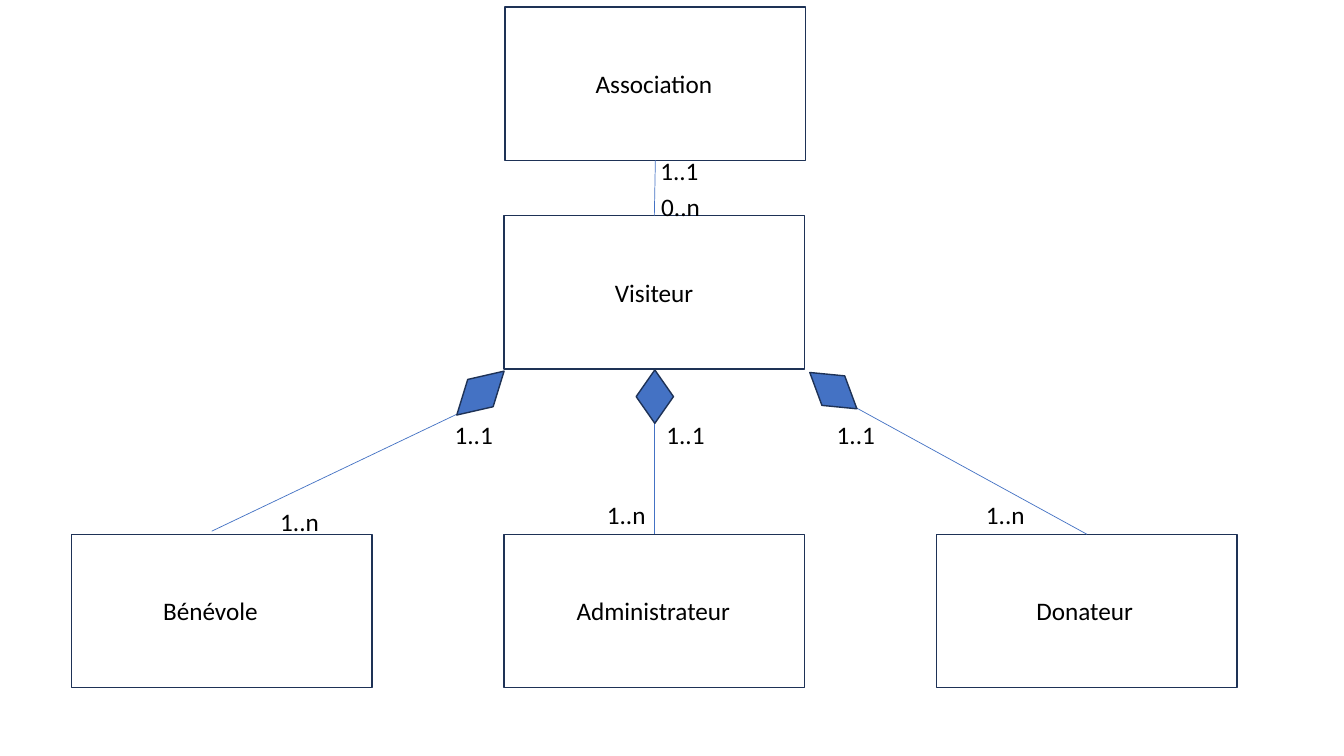
from dataclasses import dataclass

import pptx
import pptx.dml.color
import pptx.enum.shapes
import pptx.enum.text
import pptx.oxml
import pptx.oxml.ns
import pptx.shapes.autoshape
import pptx.shapes.connector
import pptx.slide
import pptx.util

EMU_PER_PX = 9144
BLACK = pptx.dml.color.RGBColor(0x00, 0x00, 0x00)
BLUE = pptx.dml.color.RGBColor(0x44, 0x72, 0xC4)
NAVY = pptx.dml.color.RGBColor(0x1E, 0x32, 0x56)
FONT = "Calibri"
BOX_WIDTH, BOX_HEIGHT = 298, 152
LABEL_HEIGHT = 40
CARDINALITY_WIDTH = 59
DIAMOND_WIDTH = 37
TOP, BOTTOM = 0, 2


@dataclass(frozen=True)
class Entity:
    name: str
    left: int
    top: int
    label_left: int
    label_width: int


@dataclass(frozen=True)
class Cardinality:
    text: str
    left: int
    top: int


@dataclass(frozen=True)
class Diamond:
    left: int
    top: int
    height: int
    rotation: float


@dataclass(frozen=True)
class Link:
    """A line; a named entity joins that end to the middle of its side."""

    start: tuple[int, int]
    end: tuple[int, int]
    source: str = ""
    source_side: int = TOP
    target: str = ""


ENTITIES = [
    Entity("Association", 501, 7, 581, 136),
    Entity("Visiteur", 500, 214, 600, 99),
    Entity("Bénévole", 71, 530, 152, 116),
    Entity("Administrateur", 500, 530, 562, 174),
    Entity("Donateur", 929, 530, 1018, 119),
]
LINKS = [
    Link((210, 527), (453, 411)),
    Link((649, 530), (649, 420), "Administrateur"),
    Link((1078, 530), (850, 405), "Donateur"),
    Link((650, 159), (649, 214), "Association", BOTTOM, "Visiteur"),
]
DIAMONDS = [
    Diamond(631, 367, 53, 0),
    Diamond(808, 358, 59, 307.6),
    Diamond(458, 358, 64, 47.1),
]
CARDINALITIES = [
    Cardinality("1..1", 820, 411),
    Cardinality("1..1", 441, 411),
    Cardinality("1..1", 651, 411),
    Cardinality("1..n", 268, 497),
    Cardinality("1..n", 968, 490),
    Cardinality("1..n", 592, 490),
    Cardinality("1..1", 645, 149),
    Cardinality("0..n", 646, 185),
]


def px(length: int) -> pptx.util.Emu:
    return pptx.util.Emu(length * EMU_PER_PX)


def add_outlined_shape(
    page: pptx.slide.Slide,
    kind: pptx.enum.shapes.MSO_SHAPE,
    left: int,
    top: int,
    width: int,
    height: int,
) -> pptx.shapes.autoshape.Shape:
    shape = page.shapes.add_shape(kind, px(left), px(top), px(width), px(height))
    shape.shadow.inherit = False
    shape.line.color.rgb = NAVY
    shape.line.width = pptx.util.Pt(1)
    return shape


def add_entity_box(page: pptx.slide.Slide, entity: Entity) -> pptx.shapes.autoshape.Shape:
    box = add_outlined_shape(
        page, pptx.enum.shapes.MSO_SHAPE.RECTANGLE,
        entity.left, entity.top, BOX_WIDTH, BOX_HEIGHT,
    )
    box.fill.background()
    return box


def add_diamond(page: pptx.slide.Slide, diamond: Diamond) -> None:
    shape = add_outlined_shape(
        page, pptx.enum.shapes.MSO_SHAPE.FLOWCHART_DECISION,
        diamond.left, diamond.top, DIAMOND_WIDTH, diamond.height,
    )
    shape.rotation = diamond.rotation
    shape.fill.solid()
    shape.fill.fore_color.rgb = BLUE


def add_label(page: pptx.slide.Slide, text: str, left: int, top: int, width: int) -> None:
    label = page.shapes.add_textbox(px(left), px(top), px(width), px(LABEL_HEIGHT))
    frame = label.text_frame
    frame.word_wrap = True
    frame.auto_size = pptx.enum.text.MSO_AUTO_SIZE.SHAPE_TO_FIT_TEXT
    span = frame.paragraphs[0].add_run()
    span.text = text
    span.font.name = FONT
    span.font.size = pptx.util.Pt(18)
    span.font.color.rgb = BLACK


def add_link(
    page: pptx.slide.Slide,
    link: Link,
    boxes: dict[str, pptx.shapes.autoshape.Shape],
) -> None:
    line = page.shapes.add_connector(
        pptx.enum.shapes.MSO_CONNECTOR.STRAIGHT,
        *map(px, link.start), *map(px, link.end),
    )
    line.line.color.rgb = BLUE
    line.line.width = pptx.util.Pt(0.5)
    properties = line._element.spPr
    properties.append(pptx.oxml.parse_xml(f"<a:effectLst {pptx.oxml.ns.nsdecls('a')}/>"))
    if link.source:
        line.begin_connect(boxes[link.source], link.source_side)
    if link.target:
        line.end_connect(boxes[link.target], TOP)


def main() -> None:
    deck = pptx.Presentation()
    deck.slide_width, deck.slide_height = px(1333), px(750)
    page = deck.slides.add_slide(deck.slide_layouts[6])
    boxes = {entity.name: add_entity_box(page, entity) for entity in ENTITIES}
    for entity in ENTITIES:
        add_label(page, entity.name, entity.label_left, entity.top + 56, entity.label_width)
    for link in LINKS:
        add_link(page, link, boxes)
    for diamond in DIAMONDS:
        add_diamond(page, diamond)
    for cardinality in CARDINALITIES:
        add_label(page, cardinality.text, cardinality.left, cardinality.top, CARDINALITY_WIDTH)
    deck.save("out.pptx")


if __name__ == "__main__":
    main()
